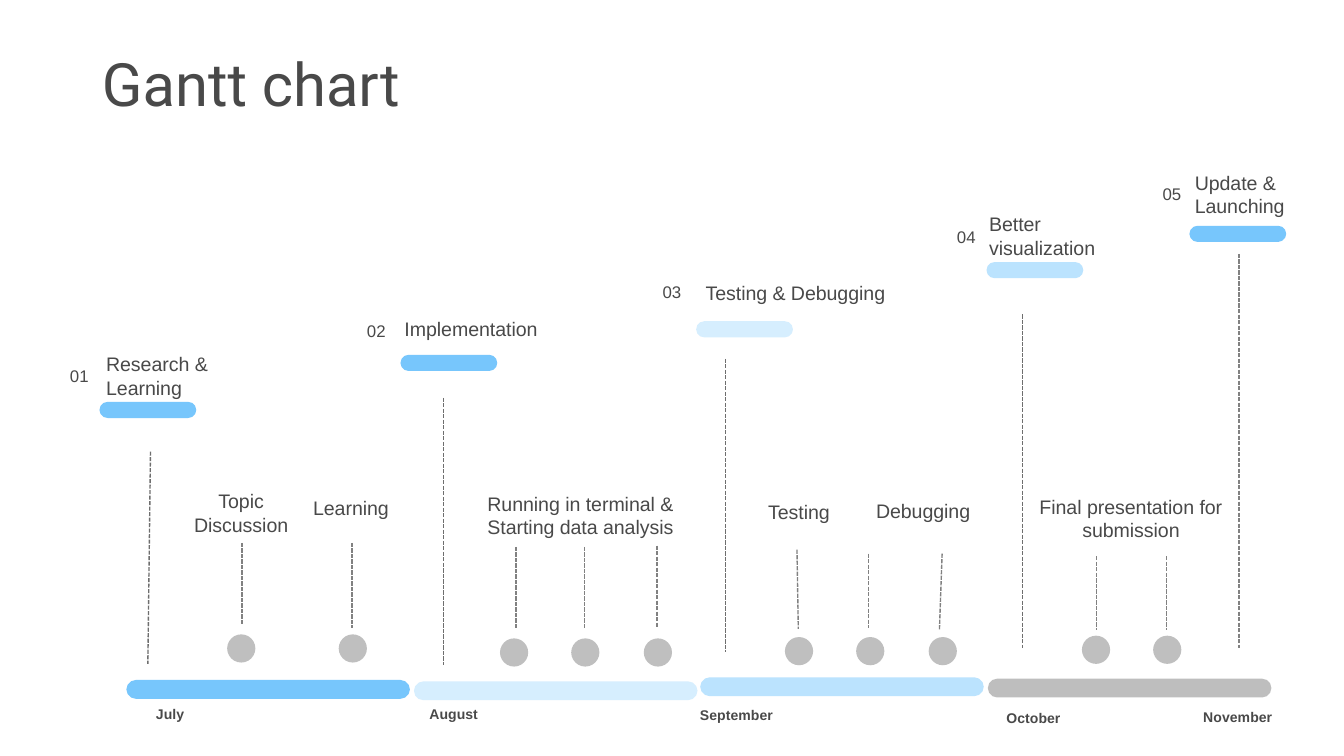
"""Build a Gantt chart slide with five phases, their tasks and a month axis."""
from lxml import etree
from pptx import Presentation
from pptx.dml.color import RGBColor
from pptx.enum.dml import MSO_LINE
from pptx.enum.shapes import MSO_CONNECTOR, MSO_SHAPE
from pptx.enum.text import PP_ALIGN
from pptx.oxml.ns import qn
from pptx.util import Inches, Pt

SYS_DASH = MSO_LINE.SQUARE_DOT
STRAIGHT = MSO_CONNECTOR.STRAIGHT
OVAL = MSO_SHAPE.OVAL
ROUNDED = MSO_SHAPE.ROUNDED_RECTANGLE
LEFT = PP_ALIGN.LEFT
CENTER = PP_ALIGN.CENTER

INK = RGBColor(0x49, 0x49, 0x49)
BLUE = RGBColor(0x77, 0xC6, 0xFC)
SOFT_BLUE = RGBColor(0xBB, 0xE3, 0xFE)
PALE_BLUE = RGBColor(0xD6, 0xEE, 0xFE)
SILVER = RGBColor(0xBE, 0xBE, 0xBE)
DOT_GRAY = RGBColor(0xBF, 0xBF, 0xBF)
DARK_DASH = RGBColor(0x6E, 0x6E, 0x6E)
DASH_GRAY = RGBColor(0x81, 0x81, 0x81)

FLUSH = (0, 0)
PADDED = (0.1, 0.05)

prs = Presentation()
prs.slide_width = Inches(10)
prs.slide_height = Inches(10 * 9 / 16)
slide = prs.slides.add_slide(prs.slide_layouts[6])


def add_label(text, box, size, align=LEFT, inset=FLUSH, wrap=True, bold=False, font="Arial"):
    frame = slide.shapes.add_textbox(*map(Inches, box)).text_frame
    frame.word_wrap = wrap
    frame.margin_left = frame.margin_right = Inches(inset[0])
    frame.margin_top = frame.margin_bottom = Inches(inset[1])
    frame.text = text
    for paragraph in frame.paragraphs:
        paragraph.alignment = align
        paragraph.font.name = font
        paragraph.font.size = Pt(size)
        paragraph.font.bold = bold
        paragraph.font.color.rgb = INK


def add_mark(kind, box, color):
    mark = slide.shapes.add_shape(kind, *map(Inches, box))
    mark.shadow.inherit = False
    mark.fill.solid()
    mark.fill.fore_color.rgb = color
    mark.line.fill.background()
    if kind == ROUNDED:
        mark.adjustments[0] = 0.5


add_label("Gantt chart", (0.66, 0.25, 9.3, 0.44), 32, inset=(0.1, 0.1), font="Roboto")

phases = [
    ("Research & Learning", (0.79, 2.62, 1.06, 0.35), (0.42, 2.67), (0.74, 2.99), BLUE),
    ("Implementation", (3.01, 2.36, 1.06, 0.18), (2.63, 2.34), (2.98, 2.64), BLUE),
    ("Testing & Debugging", (5.25, 2.09, 1.45, 0.18), (4.83, 2.05), (5.18, 2.39), PALE_BLUE),
    ("Better visualization", (7.36, 1.58, 1.06, 0.35), (7.02, 1.64), (7.34, 1.95), SOFT_BLUE),
    ("Update & Launching", (8.89, 1.27, 1.06, 0.35), (8.55, 1.32), (8.85, 1.68), BLUE),
]
for number, (phase, phase_box, number_at, bar_at, color) in enumerate(phases, start=1):
    add_label(phase, phase_box, 10.5)
    add_label(f"{number:02}", (*number_at, 0.34, 0.25), 9, CENTER, PADDED, wrap=False)
    add_mark(ROUNDED, (*bar_at, 0.72, 0.12), color)

month_bars = [
    (0.94, 5.06, BLUE),
    (3.08, 5.07, PALE_BLUE),
    (5.21, 5.04, SOFT_BLUE),
    (7.35, 5.05, SILVER),
]
for left, top, color in month_bars:
    add_mark(ROUNDED, (left, top, 2.11, 0.14), color)

months = [
    ("July", (0.94, 5.25, 0.65, 0.2)),
    ("August", (3.05, 5.25, 0.65, 0.2)),
    ("September", (5.2, 5.26, 0.56, 0.18)),
    ("October", (7.41, 5.28, 0.56, 0.16)),
    ("November", (8.93, 5.27, 0.56, 0.16)),
]
for month, month_box in months:
    add_label(month, month_box, 7.5, CENTER, bold=True)

tasks = [
    ("Topic Discussion", (1.33, 3.59, 0.93, 0.45), CENTER, PADDED, True),
    ("Learning", (2.33, 3.69, 1.06, 0.18), LEFT, FLUSH, True),
    ("Running in terminal &\nStarting data analysis", (3.39, 3.61, 1.86, 0.45), CENTER, PADDED, True),
    ("Testing", (5.6, 3.67, 0.69, 0.28), CENTER, PADDED, False),
    ("Debugging", (6.42, 3.66, 1.24, 0.28), LEFT, PADDED, True),
    ("Final presentation for submission", (7.57, 3.63, 1.69, 0.45), CENTER, PADDED, True),
]
for task, task_box, align, inset, wrap in tasks:
    add_label(task, task_box, 10.5, align, inset, wrap)

dot_rows = [
    (4.72, (1.69, 2.52)),
    (4.75, (3.72, 4.25, 4.79)),
    (4.74, (5.84, 6.37, 6.91)),
    (4.73, (8.05, 8.58)),
]
for top, lefts in dot_rows:
    for left in lefts:
        add_mark(OVAL, (left, top, 0.21, 0.21), DOT_GRAY)

phase_drops = [
    (1.12, 3.36, 1.1, 4.94),
    (3.3, 2.96, 3.3, 4.95),
    (5.4, 2.67, 5.4, 4.85),
    (7.61, 2.34, 7.61, 4.82),
]
task_drops = [
    (1.8, 4.04, 1.8, 4.65),
    (2.62, 4.04, 2.62, 4.67),
    (3.84, 4.07, 3.84, 4.68),
    (4.35, 4.07, 4.35, 4.68),
    (4.89, 4.06, 4.89, 4.67),
    (5.93, 4.09, 5.94, 4.68),
    (6.46, 4.12, 6.46, 4.67),
    (7.01, 4.12, 6.99, 4.69),
    (8.16, 4.14, 8.16, 4.69),
    (8.68, 4.14, 8.68, 4.69),
    (9.22, 1.89, 9.22, 4.82),
]
for drops, color in ((phase_drops, DARK_DASH), (task_drops, DASH_GRAY)):
    for ends in drops:
        drop = slide.shapes.add_connector(STRAIGHT, *map(Inches, ends))
        drop.line.color.rgb = color
        drop.line.width = Pt(0.75)
        drop.line.dash_style = SYS_DASH
        etree.SubElement(drop._element.spPr, qn("a:effectLst"))

prs.save("out.pptx")
